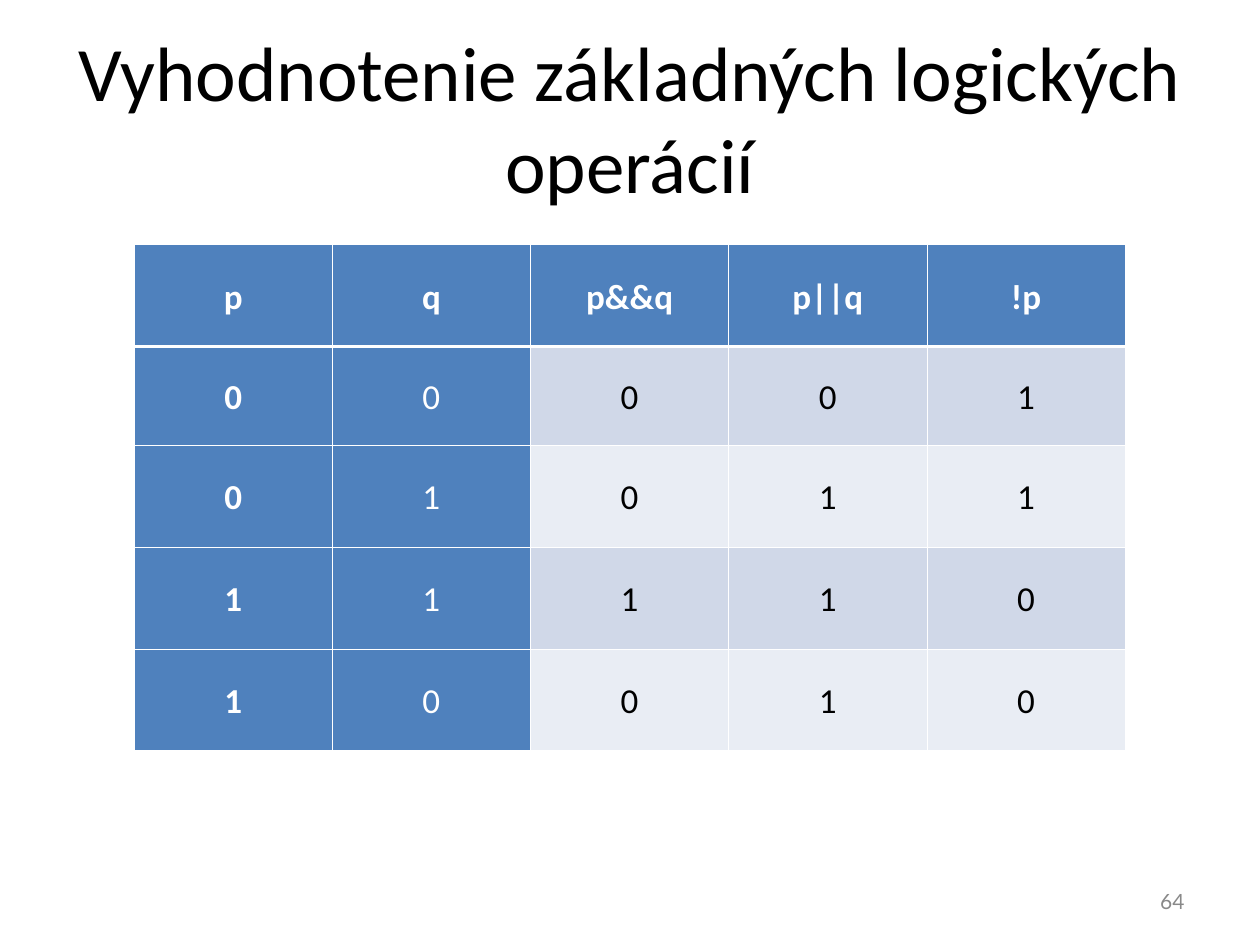
from typing import Any, NamedTuple

from lxml import etree
from pptx import Presentation
from pptx.dml.color import RGBColor
from pptx.enum.text import MSO_ANCHOR, MSO_AUTO_SIZE, PP_ALIGN
from pptx.oxml.ns import qn
from pptx.util import Pt

MIDDLE = MSO_ANCHOR.MIDDLE
NO_AUTOFIT = MSO_AUTO_SIZE.NONE
CENTER, RIGHT = PP_ALIGN.CENTER, PP_ALIGN.RIGHT
TITLE_ONLY = 5

COLORS = {
    "text": "000000",
    "inverse": "FFFFFF",
    "border": "FFFFFF",
    "header": "4F81BD",
    "band_dark": "D0D8E8",
    "band_light": "E9EDF4",
    "page_number": "898989",
}
THIN, THICK = 0.45, 1.47
INPUT_COLUMNS = 2
COLUMN_WIDTH = 113.3
ROW_HEIGHTS = (58.2, 56.4, 58.2, 58.2, 58.2)
TRUTH_TABLE = (
    ("p", "q", "p&&q", "p||q", "!p"),
    ("0", "0", "0", "0", "1"),
    ("0", "1", "0", "1", "1"),
    ("1", "1", "1", "1", "0"),
    ("1", "0", "0", "1", "0"),
)


class Frame(NamedTuple):
    left: float
    top: float
    width: float
    height: float


class TextStyle(NamedTuple):
    size: float
    color: str
    font: str = "Calibri"
    bold: bool = False
    align: Any = CENTER


TITLE_FRAME = Frame(36, 21.6, 648, 90)
TABLE_FRAME = Frame(76.6, 139.8, COLUMN_WIDTH * len(TRUTH_TABLE[0]), sum(ROW_HEIGHTS))
NUMBER_FRAME = Frame(516, 500.5, 168, 28.8)


def set_values(target: Any, values: dict[str, Any]) -> None:
    for name, value in values.items():
        setattr(target, name, value)


def place(shape: Any, frame: Frame) -> None:
    set_values(shape, {side: Pt(value) for side, value in frame._asdict().items()})


def write(text_frame: Any, text: str, style: TextStyle) -> Any:
    para = text_frame.paragraphs[0]
    para.alignment = style.align
    span = para.add_run()
    span.text = text
    set_values(span.font, {"name": style.font, "size": Pt(style.size), "bold": style.bold})
    span.font.color.rgb = RGBColor.from_string(COLORS[style.color])
    return para


def write_box(box: Any, text: str, style: TextStyle) -> None:
    set_values(box.text_frame, {
        "word_wrap": True, "auto_size": NO_AUTOFIT, "vertical_anchor": MIDDLE,
    })
    write(box.text_frame, text, style)


def add_borders(cell: Any, widths: dict[str, float]) -> None:
    """Put the border lines ahead of the fill, as the schema requires."""
    properties = cell._tc.get_or_add_tcPr()
    for position, (side, width) in enumerate(widths.items()):
        line = etree.Element(qn(f"a:ln{side}"), w=str(int(Pt(width))))
        fill = etree.SubElement(line, qn("a:solidFill"))
        etree.SubElement(fill, qn("a:srgbClr"), val=COLORS["border"])
        properties.insert(position, line)


def format_cell(cell: Any, text: str, row: int, column: int) -> None:
    is_header = row == 0
    is_input = is_header or column < INPUT_COLUMNS
    band = "band_dark" if row % 2 else "band_light"
    cell.fill.solid()
    cell.fill.fore_color.rgb = RGBColor.from_string(COLORS["header" if is_input else band])
    set_values(cell, {
        "vertical_anchor": MIDDLE,
        "margin_left": Pt(5.4), "margin_right": Pt(5.4),
        "margin_top": Pt(3.6), "margin_bottom": Pt(3.6),
    })
    style = TextStyle(20, "inverse" if is_input else "text", bold=is_header or column == 0)
    write(cell.text_frame, text, style).line_spacing = 1.07
    add_borders(cell, {
        "L": THIN, "R": THIN,
        "T": THICK if row == 1 else THIN,
        "B": THICK if is_header else THIN,
    })


def add_truth_table(page: Any) -> None:
    size = len(TRUTH_TABLE), len(TRUTH_TABLE[0])
    table = page.shapes.add_table(*size, *map(Pt, TABLE_FRAME)).table
    table.horz_banding = False
    for column in table.columns:
        column.width = Pt(COLUMN_WIDTH)
    for row, (height, texts) in enumerate(zip(ROW_HEIGHTS, TRUTH_TABLE)):
        table.rows[row].height = Pt(height)
        for column, text in enumerate(texts):
            format_cell(table.cell(row, column), text, row, column)


def main() -> None:
    deck = Presentation()
    set_values(deck, {"slide_width": Pt(720), "slide_height": Pt(540)})
    page = deck.slides.add_slide(deck.slide_layouts[TITLE_ONLY])

    title = page.shapes.title
    place(title, TITLE_FRAME)
    write_box(title, "Vyhodnotenie základných logických operácií", TextStyle(44, "text"))

    add_truth_table(page)

    number_box = page.shapes.add_textbox(*map(Pt, NUMBER_FRAME))
    write_box(number_box, "64", TextStyle(12, "page_number", font="Lato", align=RIGHT))

    deck.save("out.pptx")


if __name__ == "__main__":
    main()
